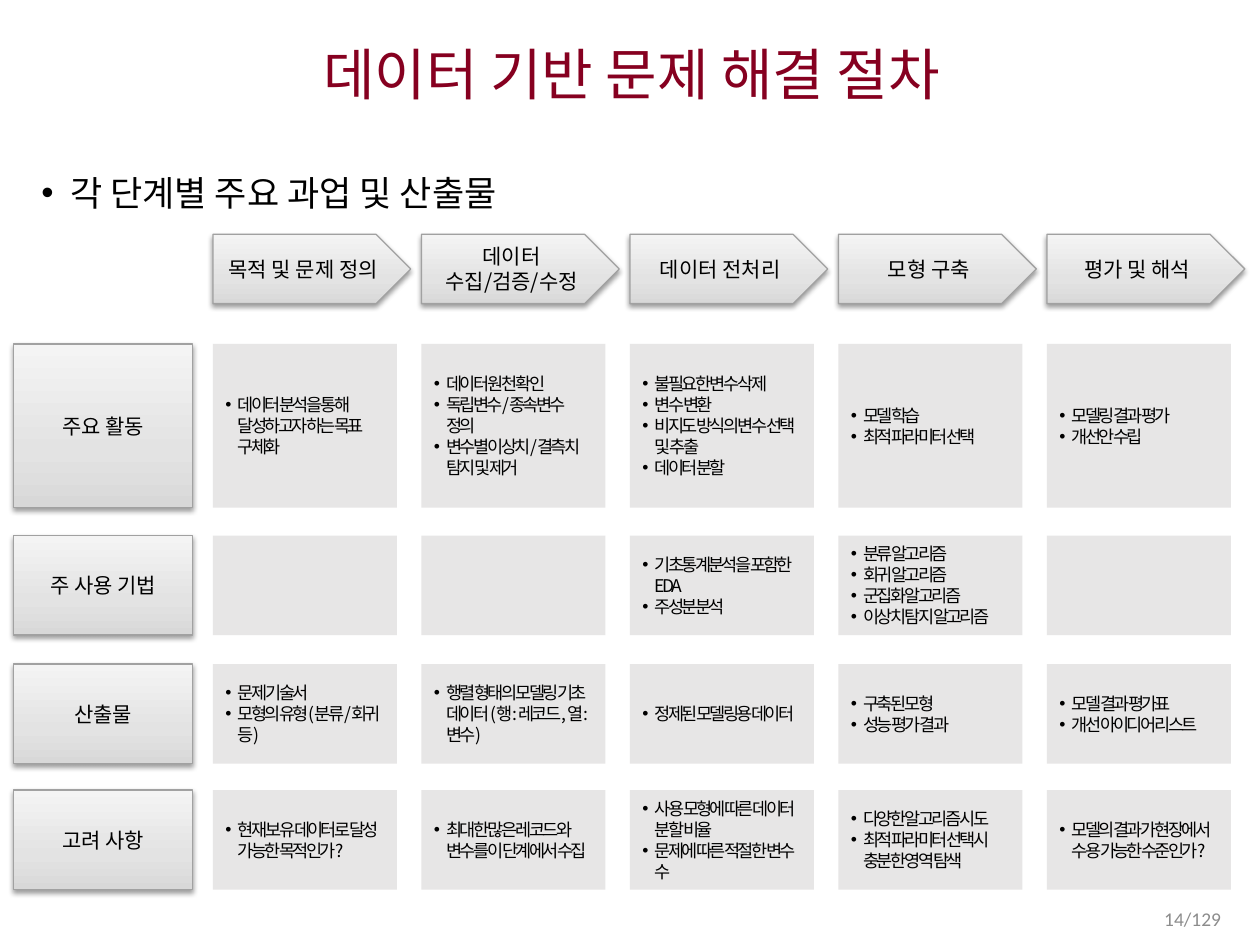
import pptx
import pptx.util
import pptx.dml.color
import pptx.enum.shapes
import pptx.enum.text
import pptx.oxml
import pptx.oxml.ns

Inches, Pt = pptx.util.Inches, pptx.util.Pt
SHAPES = pptx.enum.shapes.MSO_SHAPE
ALIGN = pptx.enum.text.PP_ALIGN
ANCHOR = pptx.enum.text.MSO_ANCHOR
qn, nsdecls = pptx.oxml.ns.qn, pptx.oxml.ns.nsdecls

# Content
TITLE = "데이터 기반 문제 해결 절차"
SUBTITLE = "각 단계별 주요 과업 및 산출물"
PAGE_NUMBER = "14/129"
STAGES = ["목적 및 문제 정의", "데이터 수집/검증/수정", "데이터 전처리", "모형 구축", "평가 및 해석"]
ROWS = [  # label, top, height, one list of points per stage
    ("주요 활동", 2.73, 1.3, [
        ["데이터 분석을 통해 달성하고자 하는 목표 구체화"],
        ["데이터 원천 확인", "독립변수/종속변수 정의", "변수별 이상치/결측치 탐지 및 제거"],
        ["불필요한 변수 삭제", "변수 변환", "비지도 방식의 변수 선택 및 추출", "데이터 분할"],
        ["모델 학습", "최적 파라미터 선택"],
        ["모델링 결과 평가", "개선안 수립"],
    ]),
    ("주 사용 기법", 4.25, 0.79, [
        [],
        [],
        ["기초통계분석을 포함한 EDA", "주성분분석"],
        ["분류 알고리즘", "회귀 알고리즘", "군집화 알고리즘", "이상치 탐지 알고리즘"],
        [],
    ]),
    ("산출물", 5.27, 0.79, [
        ["문제 기술서", "모형의 유형(분류/회귀 등)"],
        ["행렬 형태의 모델링 기초 데이터 (행: 레코드, 열: 변수)"],
        ["정제된 모델링용 데이터"],
        ["구축된 모형", "성능 평가 결과"],
        ["모델 결과 평가표", "개선 아이디어 리스트"],
    ]),
    ("고려 사항", 6.27, 0.79, [
        ["현재 보유 데이터로 달성 가능한 목적인가?"],
        ["최대한 많은 레코드와 변수를 이 단계에서 수집"],
        ["사용 모형에 따른 데이터 분할 비율", "문제에 따른 적절한 변수 수"],
        ["다양한 알고리즘 시도", "최적 파라미터 선택시 충분한 영역 탐색"],
        ["모델의 결과가 현장에서 수용 가능한 수준인가?"],
    ]),
]

# Look
COLOURS = {"title": "860020", "text": "000000", "number": "8C8C8C", "cell": "E7E6E6",
           "edge": "A1A1A1", "shadow": "000000"}
GRADIENT = [(0, "D8D8D8"), (35, "E3E3E3"), (100, "F4F4F4")]
KOREAN = "Noto Sans CJK KR"
FORMATS = {
    "title": {"size": Pt(32), "name": "Calibri"},
    "subtitle": {"size": Pt(20), "name": "Calibri"},
    "label": {"size": Pt(12), "name": KOREAN},
    "point": {"size": Pt(10), "name": KOREAN},
    "number": {"size": Pt(11.1), "name": "Calibri"},
}

# Grid
FIRST_COLUMN, LAST_COLUMN = 1.69, 8.31
COLUMN_STEP = (LAST_COLUMN - FIRST_COLUMN) / (len(STAGES) - 1)
CELL_WIDTH, LABEL_LEFT, LABEL_WIDTH = 1.46, 0.11, 1.42
ARROW_TOP, ARROW_WIDTH, ARROW_HEIGHT = 1.86, 1.57, 0.55


def rgb(name):
    return pptx.dml.color.RGBColor.from_string(COLOURS[name])


def write(box, lines, style, colour="text", align=ALIGN.LEFT, anchor=ANCHOR.MIDDLE,
          indent=0, line_spacing=None, tracking=0):
    frame = box.text_frame
    frame.word_wrap = True
    frame.vertical_anchor = anchor
    for index, line in enumerate(lines):
        para = frame.add_paragraph() if index else frame.paragraphs[0]
        para.alignment = align
        if line_spacing:
            para.line_spacing = line_spacing
        if indent:
            properties = para._p.get_or_add_pPr()
            properties.set("marL", str(Inches(indent)))
            properties.set("indent", str(-Inches(indent)))
            properties.append(pptx.oxml.parse_xml(f'<a:buFont {nsdecls("a")} typeface="Arial"/>'))
            properties.append(pptx.oxml.parse_xml(f'<a:buChar {nsdecls("a")} char="•"/>'))
        span = para.add_run()
        span.text = line
        for attribute, value in FORMATS[style].items():
            setattr(span.font, attribute, value)
        span.font.color.rgb = rgb(colour)
        run_properties = span._r.get_or_add_rPr()
        run_properties.append(pptx.oxml.parse_xml(f'<a:ea {nsdecls("a")} typeface="{KOREAN}"/>'))
        if tracking:
            run_properties.set("spc", str(int(tracking * 100)))


def add_text(page, place, *args, **options):
    write(page.shapes.add_textbox(*map(Inches, place)), *args, **options)


def add_block(page, kind, place):
    block = page.shapes.add_shape(kind, *map(Inches, place))
    block.shadow.inherit = False
    return block


def add_label(page, kind, place, text):
    """Raised grey block with a centred caption."""
    label = add_block(page, kind, place)
    label.fill.gradient()
    label.fill.gradient_angle = 90
    label.line.color.rgb = rgb("edge")
    label.line.width = Pt(0.75)
    properties = label._element.spPr
    stops = properties.find(qn("a:gradFill")).find(qn("a:gsLst"))
    for stop in list(stops):
        stops.remove(stop)
    for position, colour in GRADIENT:
        stops.append(pptx.oxml.parse_xml(
            f'<a:gs {nsdecls("a")} pos="{position * 1000}"><a:srgbClr val="{colour}"/></a:gs>'))
    properties.find(qn("a:effectLst")).append(pptx.oxml.parse_xml(
        f'<a:outerShdw {nsdecls("a")} blurRad="{Pt(3.1)}" dist="{Pt(1.6)}" dir="5400000" '
        f'algn="ctr" rotWithShape="0"><a:srgbClr val="{COLOURS["shadow"]}">'
        '<a:alpha val="38000"/></a:srgbClr></a:outerShdw>'))
    write(label, [text], "label", align=ALIGN.CENTER)


def add_cell(page, place, points):
    cell = add_block(page, SHAPES.RECTANGLE, place)
    cell.fill.solid()
    cell.fill.fore_color.rgb = rgb("cell")
    cell.line.fill.background()
    write(cell, points, "point", indent=0.1, tracking=-1.5)


def main():
    deck = pptx.Presentation()
    deck.slide_width, deck.slide_height = Inches(10), Inches(7.5)
    page = deck.slides.add_slide(deck.slide_layouts[6])

    # Headings
    add_text(page, (0.23, 0.25, 9.57, 0.73), [TITLE], "title", "title",
             align=ALIGN.CENTER, line_spacing=0.9)
    add_text(page, (0.23, 1.21, 9.57, 0.6), [SUBTITLE], "subtitle",
             anchor=ANCHOR.TOP, indent=0.23, line_spacing=1.3)

    # Stage arrows
    columns = [FIRST_COLUMN + COLUMN_STEP * index for index in range(len(STAGES))]
    for left, stage in zip(columns, STAGES):
        add_label(page, SHAPES.PENTAGON, (left, ARROW_TOP, ARROW_WIDTH, ARROW_HEIGHT), stage)

    # Row labels and cells
    for label, top, height, cells in ROWS:
        add_label(page, SHAPES.RECTANGLE, (LABEL_LEFT, top, LABEL_WIDTH, height), label)
        for left, points in zip(columns, cells):
            add_cell(page, (left, top, CELL_WIDTH, height), points)

    # Page number
    add_text(page, (7.54, 7.14, 2.25, 0.3), [PAGE_NUMBER], "number", "number", align=ALIGN.RIGHT)
    deck.save("out.pptx")


if __name__ == "__main__":
    main()
